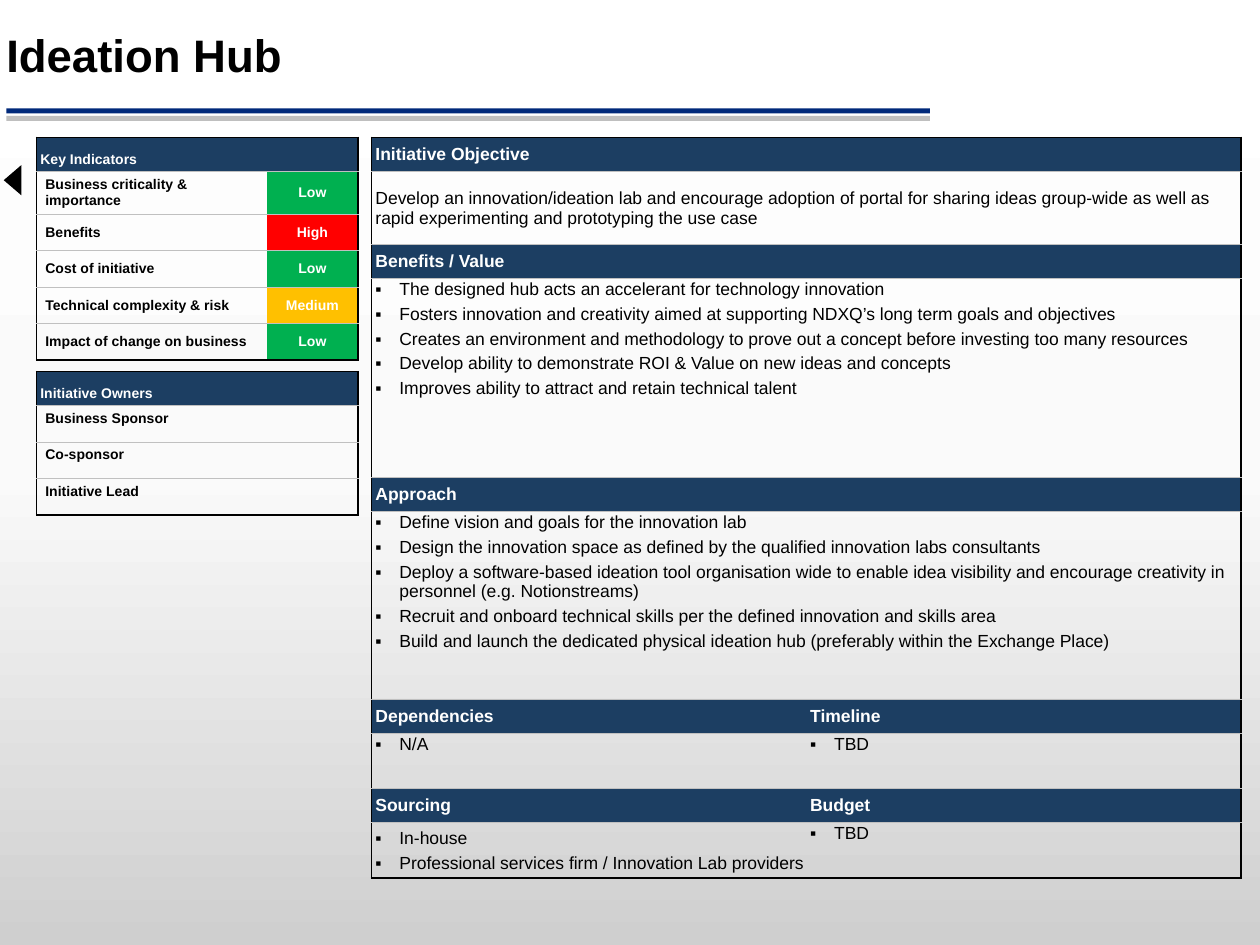
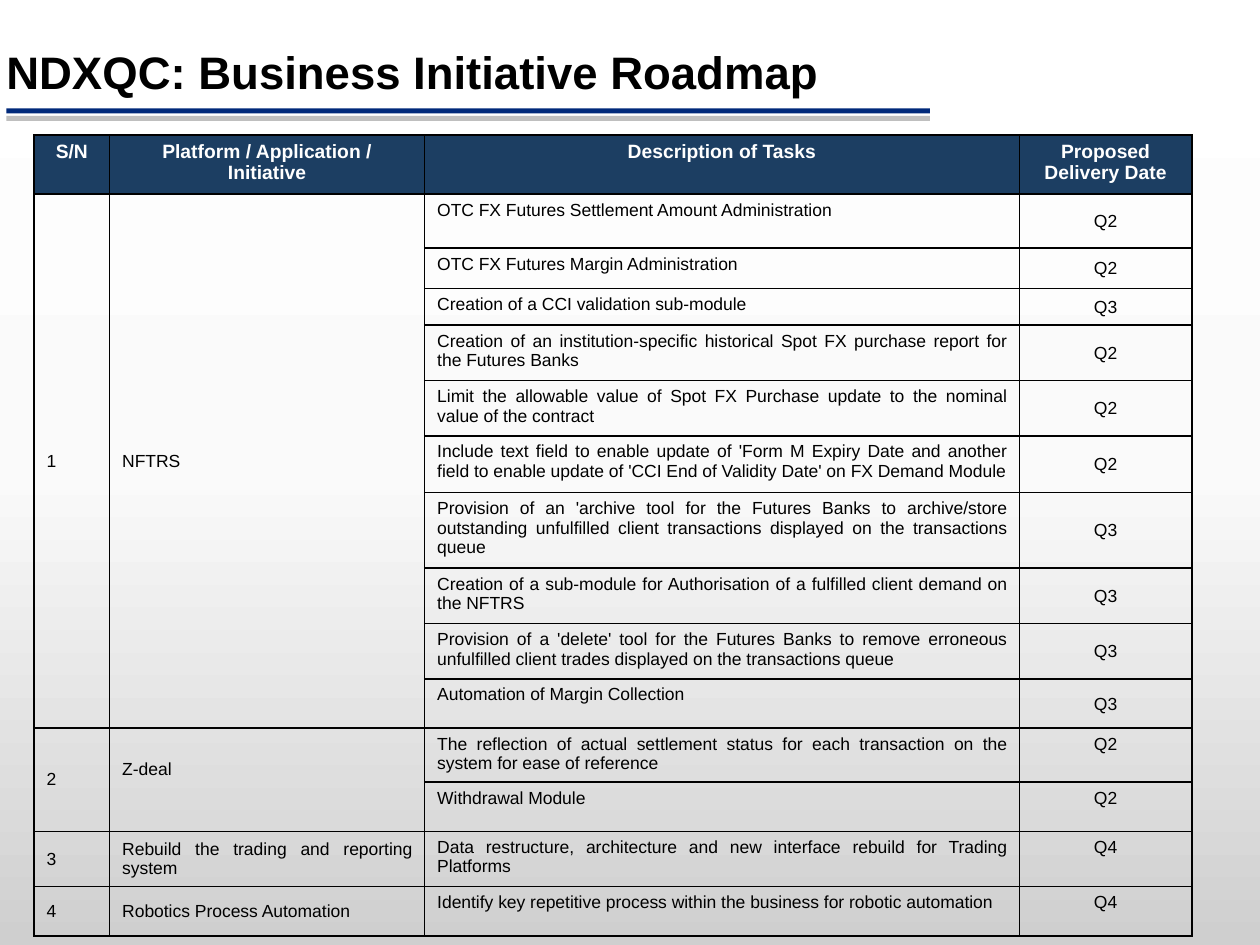
from dataclasses import dataclass

from lxml import etree
from pptx import Presentation
from pptx import util as u
from pptx.dml import color
from pptx.enum import shapes, text
from pptx.oxml import ns


@dataclass(frozen=True)
class Theme:
    font: str = "Arial"
    navy: str = "1C3E62"
    rule_blue: str = "00297A"
    rule_gray: str = "BFBFBF"
    grid_gray: str = "C0C0C0"
    black: str = "000000"
    white: str = "FFFFFF"
    backdrop: tuple = ((0, "CFCFCF"), (50, "FAFAFA"), (100, "FFFFFF"))
    title_size: int = 26
    roadmap_head_size: int = 11
    body_size: int = 10
    small_size: int = 8


THEME = Theme()
LEVEL_COLORS = {"Low": "00B050", "Medium": "FFC000", "High": "FF0000"}
PLAIN_STYLE = "{2D5ABB26-0587-4C30-8999-92F81FD0307C}"
LEFT, CENTER, JUSTIFY = (
    text.PP_ALIGN.LEFT, text.PP_ALIGN.CENTER, text.PP_ALIGN.JUSTIFY)
TOP, MIDDLE, BOTTOM = (
    text.MSO_ANCHOR.TOP, text.MSO_ANCHOR.MIDDLE, text.MSO_ANCHOR.BOTTOM)
HEAD_INSETS = (0.03, 0.03, 0.03, 0.03)
LABEL_INSETS = (0.07, 0.04, 0.07, 0.04)
TIGHT_INSETS = (0.03, 0.01, 0.01, 0)
QUARTER_INSETS = (0.01, 0.01, 0.01, 0)
ROOMY_INSETS = (0.1, 0.05, 0.1, 0.05)

INDICATORS = [
    ("Business criticality & importance", "Low"),
    ("Benefits", "High"),
    ("Cost of initiative", "Low"),
    ("Technical complexity & risk", "Medium"),
    ("Impact of change on business", "Low"),
]
OWNERS = ["Business Sponsor", "Co-sponsor", "Initiative Lead"]
OBJECTIVE = (
    "Develop an innovation/ideation lab and encourage adoption of portal for "
    "sharing ideas group-wide as well as rapid experimenting and prototyping "
    "the use case")
BENEFITS = [
    "The designed hub acts an accelerant for technology innovation",
    "Fosters innovation and creativity aimed at supporting NDXQ’s long term "
    "goals and objectives",
    "Creates an environment and methodology to prove out a concept before "
    "investing too many resources",
    "Develop ability to demonstrate ROI & Value on new ideas and concepts",
    "Improves ability to attract and retain technical talent",
]
APPROACH = [
    "Define vision and goals for the innovation lab",
    "Design the innovation space as defined by the qualified innovation labs "
    "consultants",
    "Deploy a software-based ideation tool organisation wide to enable idea "
    "visibility and encourage creativity in personnel (e.g. Notionstreams)",
    "Recruit and onboard technical skills per the defined innovation and "
    "skills area",
    "Build and launch the dedicated physical ideation hub (preferably within "
    "the Exchange Place)",
]
SOURCING = ["In-house", "Professional services firm / Innovation Lab providers"]

ROADMAP_HEADS = ["S/N", "Platform / Application / Initiative",
                 "Description of Tasks", "Proposed Delivery Date"]
ROADMAP = [
    ("NFTRS", [
        ("OTC FX Futures Settlement Amount Administration", "Q2", 0.43),
        ("OTC FX Futures Margin Administration", "Q2", 0.32),
        ("Creation of a CCI validation sub-module", "Q3", 0.29),
        ("Creation of an institution-specific historical Spot FX purchase "
         "report for the Futures Banks", "Q2", 0.44),
        ("Limit the allowable value of Spot FX Purchase update to the nominal "
         "value of the contract", "Q2", 0.44),
        ("Include text field to enable update of 'Form M Expiry Date and "
         "another field to enable update of 'CCI End of Validity Date' on FX "
         "Demand Module", "Q2", 0.45),
        ("Provision of an 'archive tool for the Futures Banks to archive/store "
         "outstanding unfulfilled client transactions displayed on the "
         "transactions queue", "Q3", 0.6),
        ("Creation of a sub-module for Authorisation of a fulfilled client "
         "demand on the NFTRS", "Q3", 0.44),
        ("Provision of a 'delete' tool for the Futures Banks to remove "
         "erroneous unfulfilled client trades displayed on the transactions "
         "queue", "Q3", 0.44),
        ("Automation of Margin Collection", "Q3", 0.39),
    ]),
    ("Z-deal", [
        ("The reflection of actual settlement status for each transaction on "
         "the system for ease of reference", "Q2", 0.43),
        ("Withdrawal Module", "Q2", 0.39),
    ]),
    ("Rebuild the trading and reporting system", [
        ("Data restructure, architecture and new interface rebuild for "
         "Trading Platforms", "Q4", 0.44),
    ]),
    ("Robotics Process Automation", [
        ("Identify key repetitive process within the business for robotic "
         "automation", "Q4", 0.39),
    ]),
]


def rgb(value):
    return color.RGBColor.from_string(value)


def set_font(para, size, ink, bold):
    para.font.name = THEME.font
    para.font.size = u.Pt(size)
    para.font.bold = bold
    para.font.color.rgb = rgb(ink)


def paint_background(deck):
    master = deck.slide_master
    fill = master.background.fill
    fill.gradient()
    fill.gradient_angle = 90
    stops = master.element.find(".//" + ns.qn("a:gsLst"))
    for stop in list(stops):
        stops.remove(stop)
    for position, tone in THEME.backdrop:
        stop = etree.SubElement(stops, ns.qn("a:gs"), pos=str(position * 1000))
        etree.SubElement(stop, ns.qn("a:srgbClr"), val=tone)


def add_solid(page, kind, left, top, width, height, tone):
    shape = page.shapes.add_shape(kind, *map(u.Inches, (left, top, width, height)))
    shape.shadow.inherit = False
    shape.fill.solid()
    shape.fill.fore_color.rgb = rgb(tone)
    shape.line.fill.background()
    return shape


def add_page(deck, heading, title_top):
    page = deck.slides.add_slide(deck.slide_layouts[5])
    for top, tone in ((0.92, THEME.rule_gray), (0.86, THEME.rule_blue)):
        add_solid(page, shapes.MSO_SHAPE.RECTANGLE, 0.05, top, 7.33, 0.04, tone)
    title = page.shapes.title
    title.left, title.top, title.width, title.height = map(
        u.Inches, (0, title_top, 7.77, 0.49))
    frame = title.text_frame
    frame.text = heading
    frame.word_wrap = True
    frame.auto_size = text.MSO_AUTO_SIZE.NONE
    frame.vertical_anchor = MIDDLE
    frame.margin_left = frame.margin_right = u.Inches(0.05)
    frame.margin_top = frame.margin_bottom = u.Inches(0.05)
    para = frame.paragraphs[0]
    para.alignment = LEFT
    para.line_spacing = 0.9
    set_font(para, THEME.title_size, THEME.black, True)
    return page


def add_border(cell, side, tone, width):
    line = etree.SubElement(cell._tc.get_or_add_tcPr(), ns.qn("a:ln" + side),
                            w=str(u.Pt(width)))
    fill = etree.SubElement(line, ns.qn("a:solidFill"))
    etree.SubElement(fill, ns.qn("a:srgbClr"), val=tone)


def add_grid(page, left, top, widths, heights, merges=(), boxed=False):
    holder = page.shapes.add_table(
        len(heights), len(widths),
        *map(u.Inches, (left, top, sum(widths), sum(heights))))
    holder._element.find(".//" + ns.qn("a:tableStyleId")).text = PLAIN_STYLE
    grid = holder.table
    grid.first_row = grid.horz_banding = False
    for column, width in zip(grid.columns, widths):
        column.width = u.Inches(width)
    for row, height in zip(grid.rows, heights):
        row.height = u.Inches(height)
    for first, last in merges:
        grid.cell(*first).merge(grid.cell(*last))
    for row in range(len(heights)):
        for column in range(len(widths)):
            cell = grid.cell(row, column)
            span = cell.span_width if cell.is_merge_origin else 1
            outer = {"L": column == 0, "R": column + span == len(widths),
                     "T": row == 0, "B": row == len(heights) - 1}
            for side, at_edge in outer.items():
                if at_edge or boxed:
                    add_border(cell, side, THEME.black, 1)
                elif side in "TB":
                    add_border(cell, side, THEME.grid_gray, 0.5)
    return grid


def add_bullet(para):
    properties = para._p.get_or_add_pPr()
    properties.set("marL", str(u.Inches(0.19)))
    properties.set("indent", str(-u.Inches(0.19)))
    etree.SubElement(properties, ns.qn("a:buFont"), typeface=THEME.font)
    etree.SubElement(properties, ns.qn("a:buChar"), char="▪")


def write_cell(cell, lines, size, insets, ink=THEME.black, bold=False,
               align=LEFT, anchor=MIDDLE, fill=None, bullets=False):
    (cell.margin_left, cell.margin_top,
     cell.margin_right, cell.margin_bottom) = map(u.Inches, insets)
    cell.vertical_anchor = anchor
    if fill:
        cell.fill.solid()
        cell.fill.fore_color.rgb = rgb(fill)
    else:
        cell.fill.background()
    cell.text_frame.text = "\n".join(lines)
    for para in cell.text_frame.paragraphs:
        para.alignment = align
        if bullets:
            para.space_after = u.Pt(3)
            add_bullet(para)
        set_font(para, size, ink, bold)


def write_head(cell, label, size, insets=HEAD_INSETS, align=LEFT, anchor=MIDDLE):
    write_cell(cell, [label], size, insets, THEME.white, True, align, anchor,
               THEME.navy)


def add_side_table(page, top, heading, labels, widths):
    heights = [0.27] + [0.29] * len(labels)
    grid = add_grid(page, 0.29, top, widths, heights, [((0, 0), (0, 1))])
    write_head(grid.cell(0, 0), heading, THEME.small_size, anchor=BOTTOM)
    return grid


def add_indicators(page):
    labels = [label for label, level in INDICATORS]
    grid = add_side_table(page, 1.09, "Key Indicators", labels, [1.83, 0.72])
    grid.rows[1].height = u.Inches(0.34)
    for row, (label, level) in enumerate(INDICATORS, 1):
        write_cell(grid.cell(row, 0), [label], THEME.small_size, LABEL_INSETS,
                   bold=True)
        write_cell(grid.cell(row, 1), [level], THEME.small_size, LABEL_INSETS,
                   THEME.white, True, CENTER, fill=LEVEL_COLORS[level])


def add_owners(page):
    grid = add_side_table(page, 2.95, "Initiative Owners", OWNERS, [1.14, 1.41])
    for row, label in enumerate(OWNERS, 1):
        write_cell(grid.cell(row, 0), [label], THEME.small_size, LABEL_INSETS,
                   bold=True, anchor=TOP)
        write_cell(grid.cell(row, 1), [], THEME.small_size, (0, 0, 0, 0))


def add_initiative(page):
    sections = [
        (0.58, [("Initiative Objective", [OBJECTIVE], MIDDLE)]),
        (1.58, [("Benefits / Value", BENEFITS, TOP)]),
        (1.49, [("Approach", APPROACH, TOP)]),
        (0.44, [("Dependencies", ["N/A"], TOP), ("Timeline", ["TBD"], TOP)]),
        (0.44, [("Sourcing", SOURCING, MIDDLE), ("Budget", ["TBD"], TOP)]),
    ]
    heights = [size for height, parts in sections for size in (0.27, height)]
    merges = [((row, 0), (row, 1)) for row in range(6)]
    grid = add_grid(page, 2.95, 1.09, [3.45, 3.45], heights, merges)
    for index, (height, parts) in enumerate(sections):
        for column, (heading, lines, anchor) in enumerate(parts):
            write_head(grid.cell(2 * index, column), heading, THEME.body_size)
            write_cell(grid.cell(2 * index + 1, column), lines, THEME.body_size,
                       TIGHT_INSETS, anchor=anchor, bullets=index > 0)


def add_roadmap(page):
    heights = [0.47] + [task[2] for name, tasks in ROADMAP for task in tasks]
    merges, starts, row = [], [], 1
    for name, tasks in ROADMAP:
        starts.append(row)
        if len(tasks) > 1:
            merges += [((row, column), (row + len(tasks) - 1, column))
                       for column in (0, 1)]
        row += len(tasks)
    grid = add_grid(page, 0.27, 1.07, [0.6, 2.5, 4.72, 1.37], heights, merges,
                    boxed=True)
    for column, heading in enumerate(ROADMAP_HEADS):
        write_head(grid.cell(0, column), heading, THEME.roadmap_head_size,
                   ROOMY_INSETS, CENTER, TOP)
    for number, (start, (name, tasks)) in enumerate(zip(starts, ROADMAP), 1):
        for column, label in enumerate((str(number), name)):
            write_cell(grid.cell(start, column), [label], THEME.body_size,
                       ROOMY_INSETS, align=JUSTIFY)
        for row, (task, quarter, height) in enumerate(tasks, start):
            write_cell(grid.cell(row, 2), [task], THEME.body_size, ROOMY_INSETS,
                       align=JUSTIFY, anchor=TOP)
            insets, anchor = ((QUARTER_INSETS, MIDDLE) if number == 1
                              else (ROOMY_INSETS, TOP))
            write_cell(grid.cell(row, 3), [quarter], THEME.body_size, insets,
                       align=CENTER, anchor=anchor)
    grid.cell(starts[1], 1).margin_bottom = u.Inches(0.21)


def main():
    deck = Presentation()
    deck.slide_width, deck.slide_height = u.Inches(10), u.Inches(7.5)
    paint_background(deck)

    hub = add_page(deck, "Ideation Hub", 0.21)
    add_indicators(hub)
    back_arrow = add_solid(hub, shapes.MSO_SHAPE.ISOSCELES_TRIANGLE,
                           -0.02, 1.36, 0.24, 0.14, THEME.black)
    back_arrow.rotation = 270
    add_owners(hub)
    add_initiative(hub)

    roadmap = add_page(deck, "NDXQC: Business Initiative Roadmap", 0.35)
    add_roadmap(roadmap)
    deck.save("out.pptx")


if __name__ == "__main__":
    main()
